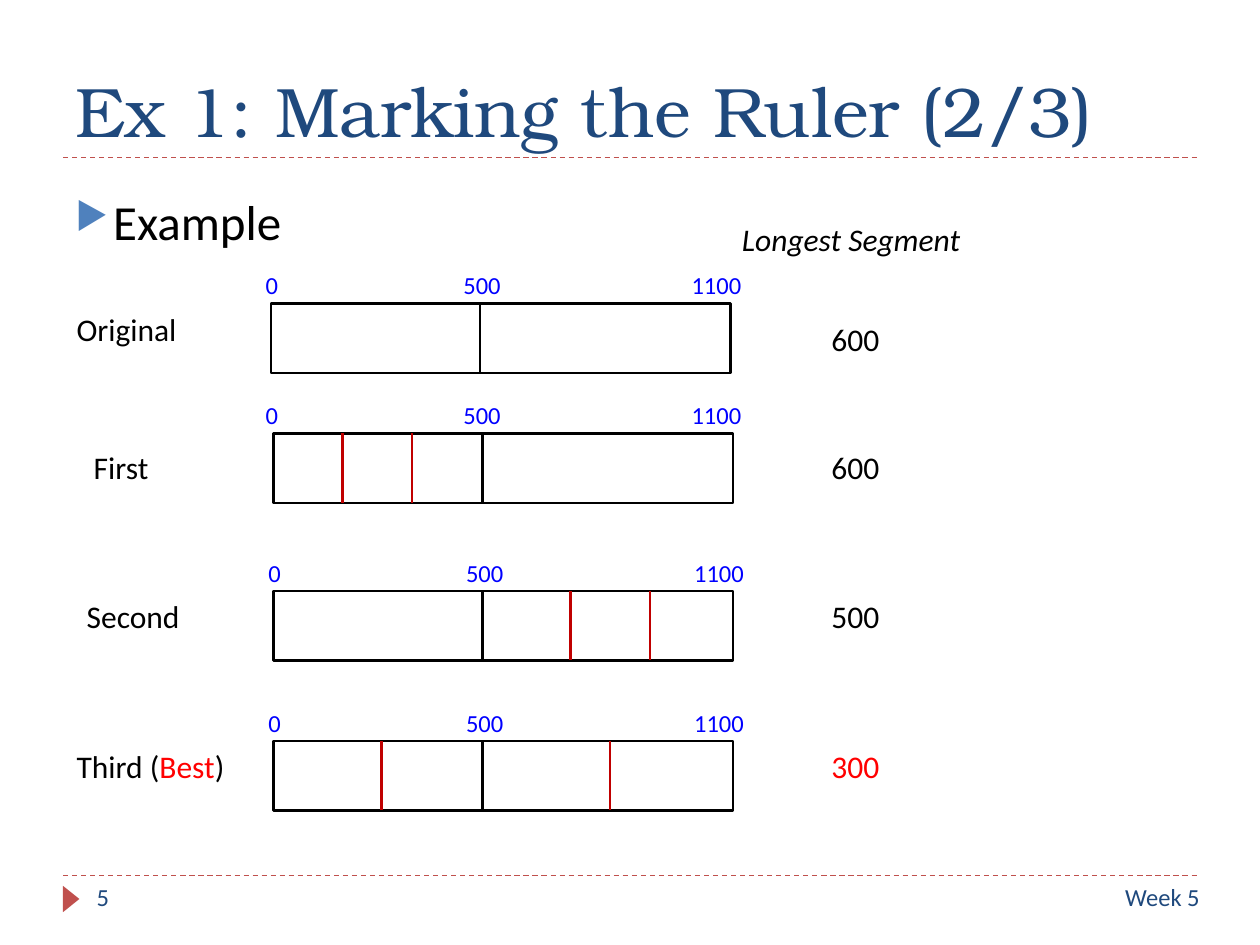
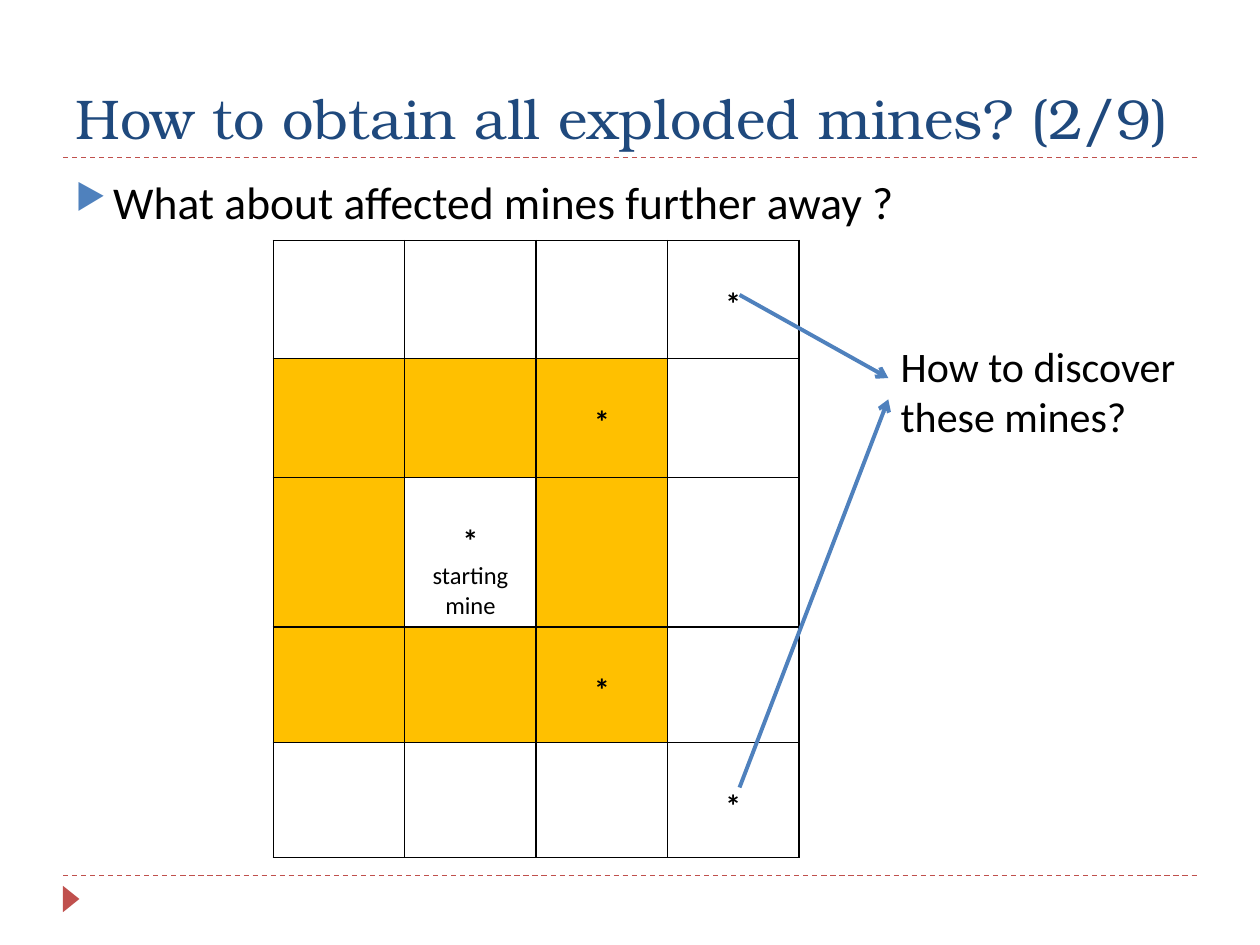
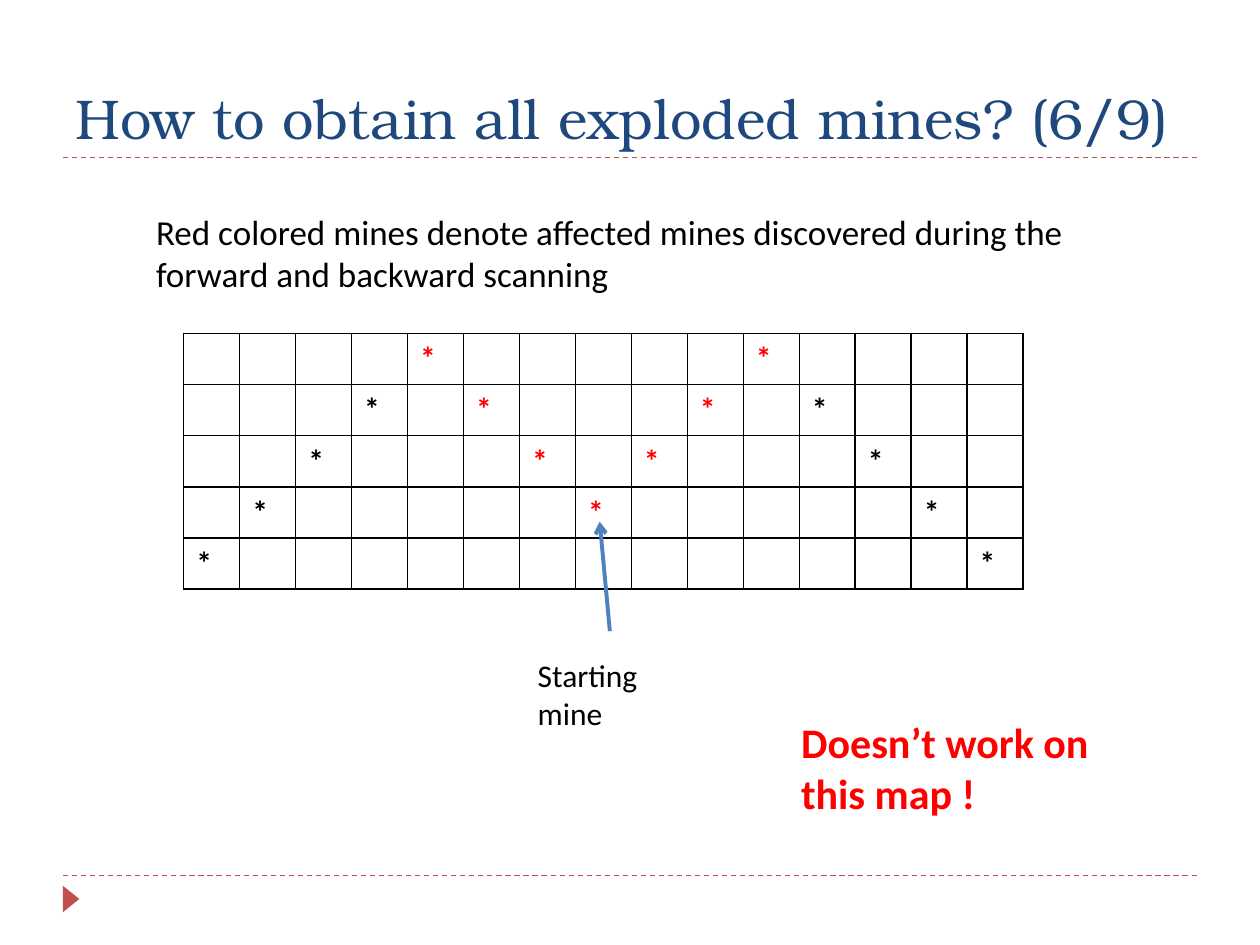
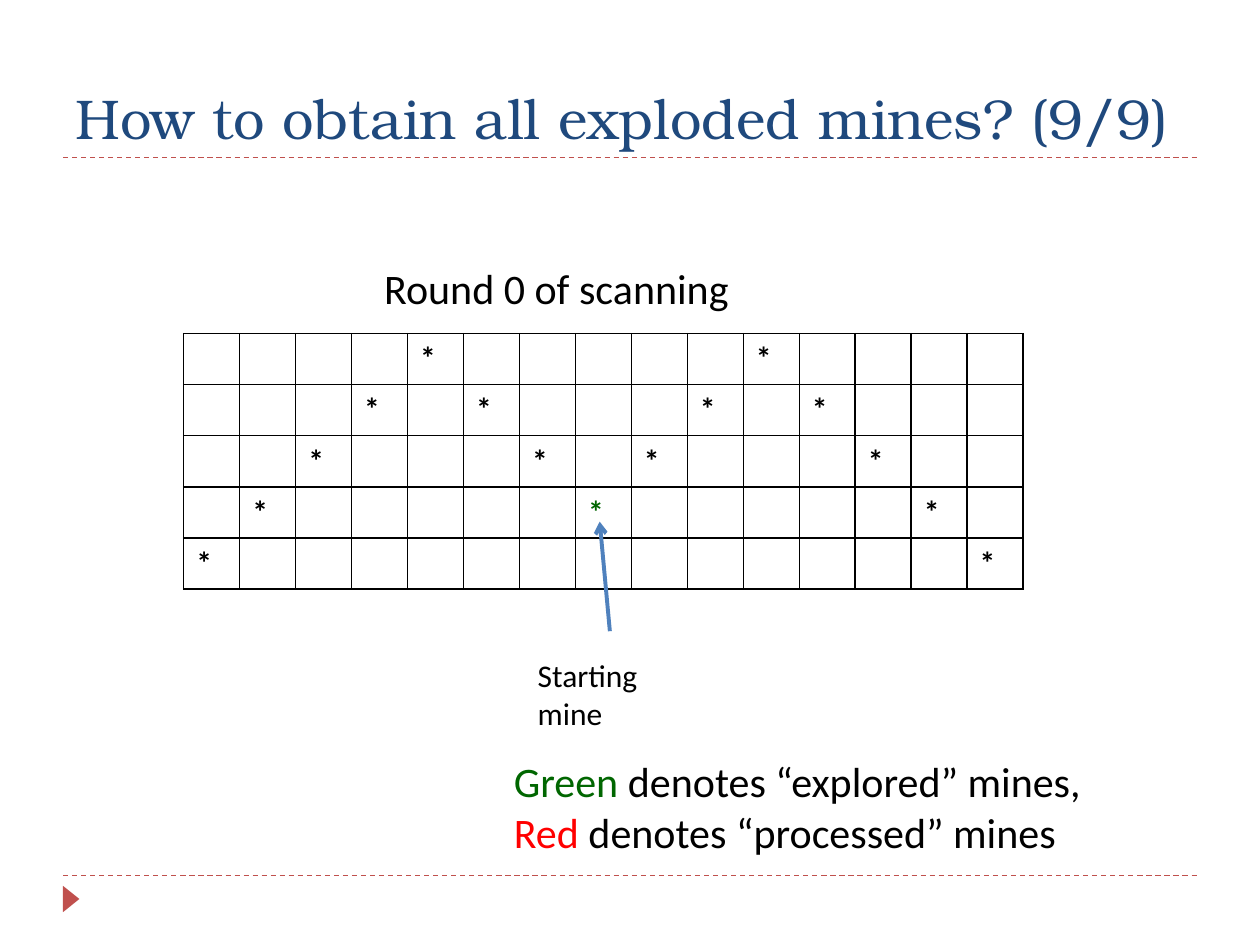
from lxml import etree
from pptx import Presentation
from pptx.dml.color import RGBColor
from pptx.enum.dml import MSO_LINE
from pptx.enum.shapes import MSO_CONNECTOR, MSO_SHAPE
from pptx.enum.text import MSO_ANCHOR, MSO_AUTO_SIZE, PP_ALIGN
from pptx.oxml.ns import qn
from pptx.util import Pt

STRAIGHT = MSO_CONNECTOR.STRAIGHT
DASH = MSO_LINE.DASH
RECTANGLE = MSO_SHAPE.RECTANGLE
TRIANGLE = MSO_SHAPE.ISOSCELES_TRIANGLE
LEFT, CENTER, RIGHT = PP_ALIGN.LEFT, PP_ALIGN.CENTER, PP_ALIGN.RIGHT
BOTTOM = MSO_ANCHOR.BOTTOM
NO_AUTOFIT = MSO_AUTO_SIZE.NONE

COLORS = {
    "black": "000000",
    "white": "FFFFFF",
    "navy": "1F497D",
    "blue": "4F81BD",
    "brick": "C0504D",
    "tick": "0000FF",
    "cut": "C00000",
    "red": "FF0000",
    "green": "006600",
    "amber": "FFC000",
}
BODY_FONT = "Calibri"
TITLE_FONT = "TeX Gyre Bonum"
TITLE_ONLY = 5

RULER_LENGTH = 1100
# Label, its left and top, bar left and top, tick label left, cuts, longest segment, its colour
RULERS = [
    (["Original"], 36.7, 173.5, 154.8, 173.5, 144.7, [], "600", 179.3, "black"),
    (["First"], 46.5, 252.7, 156.2, 247.7, 144.7, [166, 332], "600", 252.7, "black"),
    (["Second"], 42.5, 337.7, 156.2, 337.7, 146.2, [711, 901], "500", 337.7, "black"),
    (["Third (", ("Best", {"color": "red"}), ")"], 36.7, 423.4,
     156.2, 423.4, 146.2, [259, 805], "300", 423.4, "red"),
]

# "*" is a mine, "#" a cell next to the starting mine, "@" a mine there, "s" the start
BLAST_GRID = ["...*", "##@.", "#s#.", "##@.", "...*"]

# "s" is the starting mine, "v" a mine on the V above it, "x" any other mine
MINE_MAP = [
    "....v.....v....",
    "...x.v...v.x...",
    "..x...v.v...x..",
    ".x.....s.....x.",
    "x.............x",
]


def rgb(name):
    return RGBColor.from_string(COLORS[name])


def write(text_frame, *paragraphs, align=LEFT, **base_format):
    """Fill a frame; a paragraph is a string or a list of strings and (text, format) runs."""
    text_frame.word_wrap = True
    for index, runs in enumerate(paragraphs):
        paragraph = text_frame.add_paragraph() if index else text_frame.paragraphs[0]
        paragraph.alignment = align
        for part in [runs] if isinstance(runs, str) else runs:
            text, changes = (part, {}) if isinstance(part, str) else part
            run_format = {**base_format, **changes}
            run = paragraph.add_run()
            run.text = text
            run.font.name = run_format.get("font", BODY_FONT)
            run.font.size = Pt(run_format.get("size", 18))
            run.font.bold = run_format.get("bold", False)
            run.font.italic = run_format.get("italic", False)
            run.font.color.rgb = rgb(run_format.get("color", "black"))


def add_text(slide, box, *paragraphs, **text_format):
    shape = slide.shapes.add_textbox(*map(Pt, box))
    write(shape.text_frame, *paragraphs, **text_format)
    return shape


def add_line(slide, start, end, color, width, dash=None, arrow=False):
    line = slide.shapes.add_connector(STRAIGHT, *map(Pt, (*start, *end)))
    line.line.color.rgb = rgb(color)
    line.line.width = Pt(width)
    if dash:
        line.line.dash_style = dash
    properties = line._element.spPr
    if arrow:
        etree.SubElement(properties.find(qn("a:ln")), qn("a:tailEnd"), type="arrow")
    etree.SubElement(properties, qn("a:effectLst"))


def add_shape(slide, kind, box, fill, outline=None):
    shape = slide.shapes.add_shape(kind, *map(Pt, box))
    shape.shadow.inherit = False
    shape.fill.solid()
    shape.fill.fore_color.rgb = rgb(fill)
    if outline:
        shape.line.color.rgb = rgb(outline)
        shape.line.width = Pt(1.5)
    else:
        shape.line.fill.background()
    return shape


def add_bullet_text(slide, box, text, size):
    shape = add_text(slide, box, text, size=size)
    properties = shape.text_frame.paragraphs[0]._p.get_or_add_pPr()
    properties.set("marL", str(Pt(21.6)))
    properties.set("indent", str(-Pt(21.6)))
    bullet_color = etree.SubElement(properties, qn("a:buClr"))
    etree.SubElement(bullet_color, qn("a:srgbClr"), val=COLORS["blue"])
    etree.SubElement(properties, qn("a:buSzPct"), val="76000")
    etree.SubElement(properties, qn("a:buChar"), char="▶")


def add_titled_slide(presentation, title, size=32):
    """Add a slide with its title, the two dashed rules and the footer marker."""
    slide = presentation.slides.add_slide(presentation.slide_layouts[TITLE_ONLY])
    for y in (500.4, 90):
        add_line(slide, (36, y), (684, y), "brick", 0.75, dash=DASH)
    add_shape(slide, TRIANGLE, (33.1, 509, 15.1, 9.4), "brick").rotation = 90
    shape = slide.shapes.title
    shape.left, shape.top, shape.width, shape.height = map(Pt, (36, 12.2, 648, 77.8))
    shape.text_frame.auto_size = NO_AUTOFIT
    shape.text_frame.vertical_anchor = BOTTOM
    write(shape.text_frame, title, size=size, color="navy", font=TITLE_FONT)
    return slide


def add_footer(slide, number, label):
    add_text(slide, (48.2, 500.4, 156.2, 28.8), number, size=14, color="navy")
    add_text(slide, (416.9, 500.4, 275.8, 28.8), label, size=14, color="navy", align=RIGHT)


def add_table(slide, left, top, widths, heights):
    """Add an unfilled table with thin black borders."""
    box = map(Pt, (left, top, sum(widths), sum(heights)))
    table = slide.shapes.add_table(len(heights), len(widths), *box).table
    table.first_row = table.horz_banding = False
    for column, width in zip(table.columns, widths):
        column.width = Pt(width)
    for row, height in zip(table.rows, heights):
        row.height = Pt(height)
    for cell in table.iter_cells():
        properties = cell._tc.get_or_add_tcPr()
        for side in ("lnL", "lnR", "lnT", "lnB"):
            border = etree.SubElement(properties, qn(f"a:{side}"), w=str(Pt(1)))
            fill = etree.SubElement(border, qn("a:solidFill"))
            etree.SubElement(fill, qn("a:srgbClr"), val=COLORS["black"])
        cell.fill.background()
    return table


def add_ruler(slide, left, top, tick_left, cuts):
    width, height = 262.8, 39.7
    add_shape(slide, RECTANGLE, (left, top, width, height), "white", "black")
    for mark, color in [(500, "black")] + [(cut, "cut") for cut in cuts]:
        x = left + width * mark / RULER_LENGTH
        add_line(slide, (x, top), (x, top + height), color, 1.5)
    for text, offset, label_width in (("0", 0, 22.3), ("500", 113, 39.6), ("1100", 243.4, 45.4)):
        add_text(slide, (tick_left + offset, top - 22.6, label_width, 24.5), text,
                 size=14, color="tick")


def add_ruler_slide(presentation):
    slide = add_titled_slide(presentation, "Ex 1: Marking the Ruler (2/3)", size=40)
    add_footer(slide, "5", "Week 5")
    add_bullet_text(slide, (36, 105.8, 648, 39.6), "Example", 28)
    add_text(slide, (416.9, 122.4, 164.2, 28.8), "Longest Segment", italic=True)
    for (label, label_left, label_top, bar_left, bar_top, tick_left,
         cuts, longest, longest_top, color) in RULERS:
        add_text(slide, (label_left, label_top, 124.6, 28.8), label)
        add_text(slide, (468, longest_top, 68, 28.8), longest, color=color)
        add_ruler(slide, bar_left, bar_top, tick_left, cuts)


def add_blast_grid(slide, left, top):
    table = add_table(slide, left, top, [75.1] * 4, [67.5, 68, 85.2, 66, 66])
    for row, marks in enumerate(BLAST_GRID):
        for column, mark in enumerate(marks):
            cell = table.cell(row, column)
            if mark in "#@":
                cell.fill.solid()
                cell.fill.fore_color.rgb = rgb("amber")
            if mark in "*@s":
                cell.margin_top = Pt(25.6)
                note = [[("starting mine", {"size": 14, "bold": False})]] if mark == "s" else []
                write(cell.text_frame, "*", *note, bold=True, align=CENTER)


def add_blast_slide(presentation):
    slide = add_titled_slide(presentation, "How to obtain all exploded mines? (2/9)")
    add_bullet_text(slide, (36, 95.8, 648, 388.8), "What about affected mines further away ?", 26)
    add_blast_grid(slide, 156.2, 137.5)
    for start, end in (((422.6, 168.5), (507.6, 216)), ((422.6, 450), (507.6, 228.2))):
        add_line(slide, start, end, "blue", 2.25, arrow=True)
    add_text(slide, (507.6, 190.8, 193, 65.5), "How to discover these mines?", size=24)


def add_map_slide(presentation, title, mine_colors):
    """Add a slide with the mine map, its mines coloured by kind, and the start marked."""
    slide = add_titled_slide(presentation, title)
    table = add_table(slide, 105, 190.6, [32] * 15, [29.2] * 5)
    for row, marks in enumerate(MINE_MAP):
        for column, mark in enumerate(marks):
            if mark in mine_colors:
                write(table.cell(row, column).text_frame, "*", bold=True,
                      color=mine_colors[mark])
    add_line(slide, (348.5, 360.7), (342.7, 298.1), "blue", 2.25, arrow=True)
    add_text(slide, (300.2, 371.5, 96.5, 51.1), "Starting mine")
    return slide


def add_failed_scan_slide(presentation):
    slide = add_map_slide(presentation, "How to obtain all exploded mines? (6/9)",
                          {"x": "black", "v": "red", "s": "red"})
    add_text(slide, (450.7, 406.1, 203.8, 65.5), "Doesn’t work on this map !",
             size=24, color="red", bold=True)
    add_text(slide, (82.1, 116.6, 538.6, 55.4),
             "Red colored mines denote affected mines discovered during the "
             "forward and backward scanning", size=20)


def add_round_slide(presentation):
    slide = add_map_slide(presentation, "How to obtain all exploded mines? (9/9)",
                          {"x": "black", "v": "black", "s": "green"})
    add_text(slide, (212.4, 146.2, 272.2, 36), "Round 0 of scanning", size=24)
    add_text(slide, (286.6, 428.4, 403.2, 65.5),
             [("Green", {"color": "green"}), " denotes “explored” mines,"],
             [("Red", {"color": "red"}), " denotes “processed” mines"], size=24)


def main():
    presentation = Presentation()
    presentation.slide_width, presentation.slide_height = Pt(720), Pt(540)
    add_ruler_slide(presentation)
    add_blast_slide(presentation)
    add_failed_scan_slide(presentation)
    add_round_slide(presentation)
    presentation.save("out.pptx")


if __name__ == "__main__":
    main()
